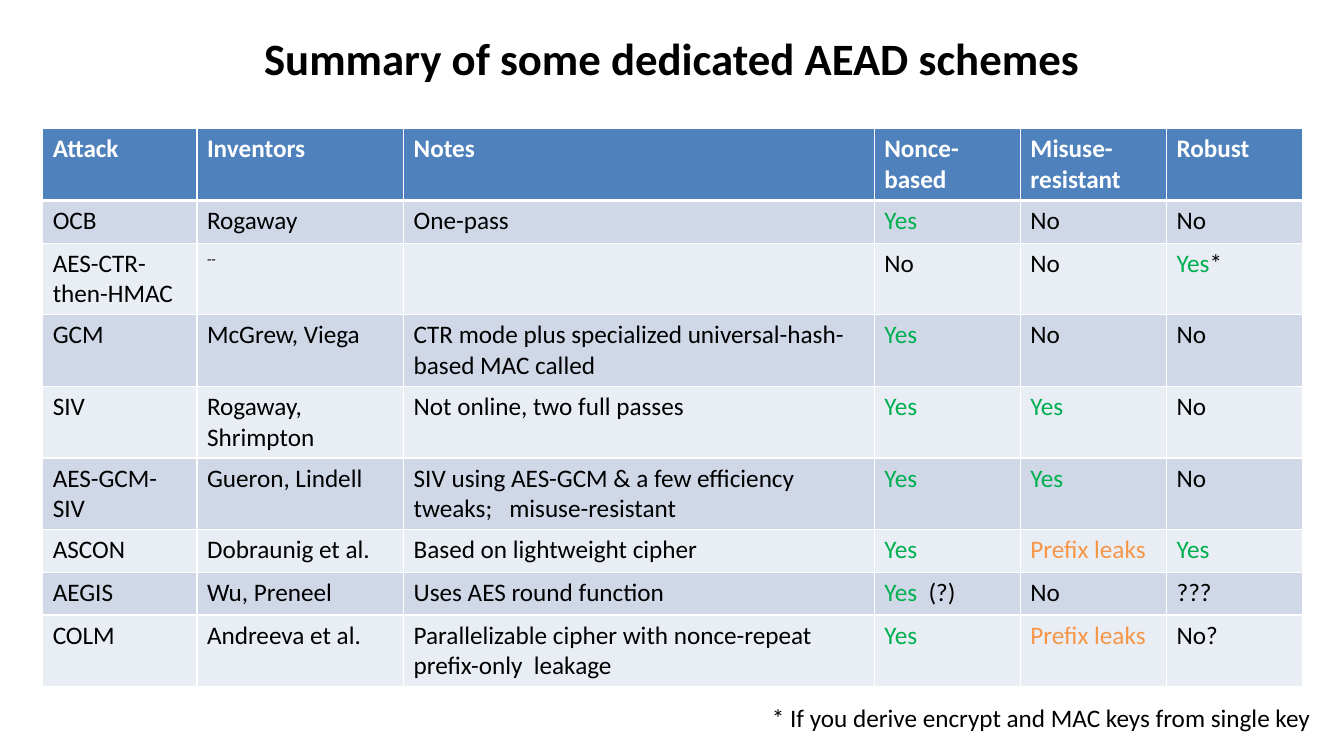
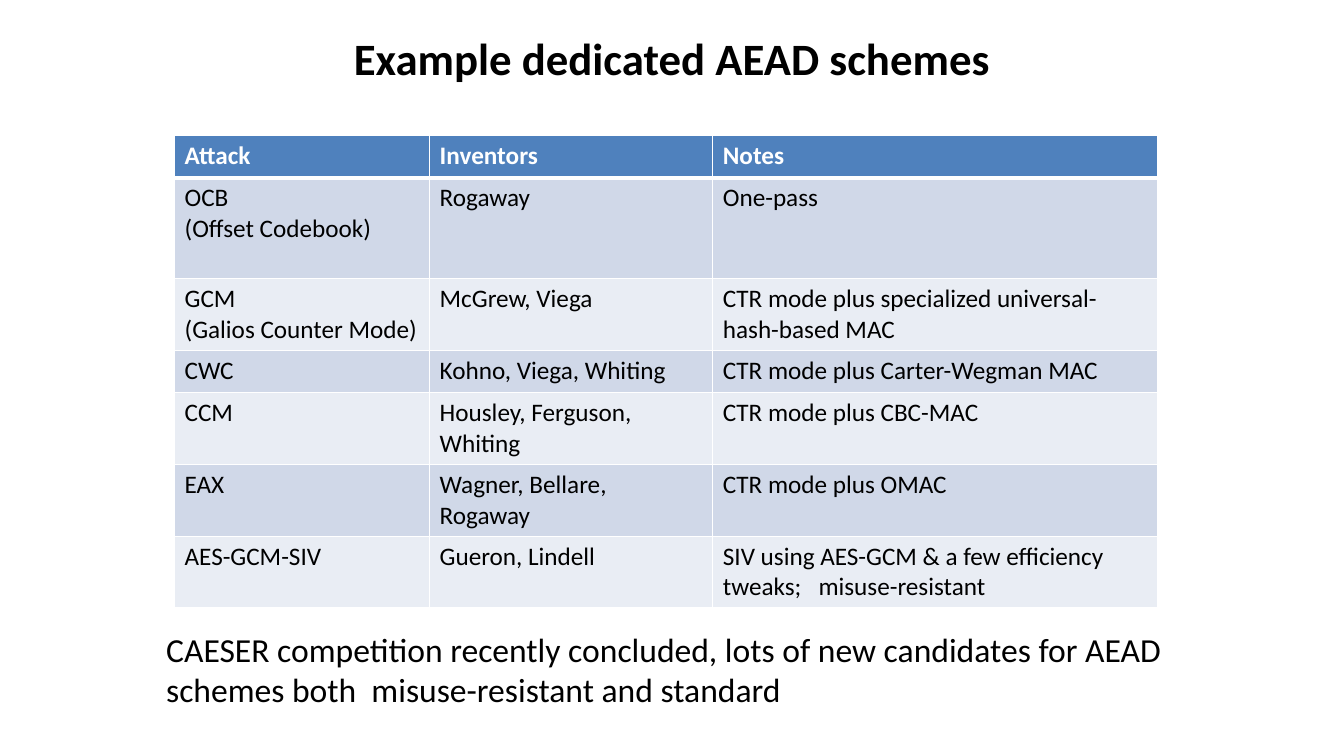
from dataclasses import dataclass

from lxml.etree import SubElement
from pptx import Presentation
from pptx.dml.color import RGBColor
from pptx.enum.text import MSO_ANCHOR, PP_ALIGN
from pptx.oxml.ns import qn
from pptx.slide import Slide
from pptx.table import _Cell
from pptx.text.text import _Paragraph
from pptx.util import Pt

PAGE_WIDTH, PAGE_HEIGHT = 960, 540
FONT = "Calibri"
COLORS = {
    "text": "000000",
    "white": "FFFFFF",
    "header": "4F81BD",
    "odd_band": "D0D8E8",
    "even_band": "E9EDF4",
    "Yes": "00B050",
    "Prefix leaks": "F79646",
}
TITLE_FORMAT = {"name": FONT, "size": Pt(32), "bold": True}
HEADER_FORMAT = {"name": FONT, "size": Pt(18), "bold": True}
BODY_FORMAT = {"name": FONT, "size": Pt(18), "bold": False}
REMARK_FORMAT = {"name": FONT, "size": Pt(24), "bold": False}
ONE_LINE, TWO_LINES, TALL = 30.5, 50.5, 72
THIN, THICK = 1, 3


@dataclass
class SchemeTable:
    left: float
    top: float
    column_widths: list[float]
    row_heights: list[float]
    rows: list[list[str]]


@dataclass
class Remark:
    text: str
    left: float
    top: float
    width: float
    height: float
    format: dict


@dataclass
class SchemePage:
    title: str
    table: SchemeTable
    remark: Remark


PAGES = [
    SchemePage(
        "Summary of some dedicated AEAD schemes",
        SchemeTable(
            30.5, 92,
            [110.2, 147.6, 336.2, 104.4, 104.4, 97.2],
            [TWO_LINES, ONE_LINE, TWO_LINES, TWO_LINES, TWO_LINES,
             TWO_LINES, ONE_LINE, ONE_LINE, TWO_LINES],
            [
                ["Attack", "Inventors", "Notes", "Nonce-based", "Misuse-resistant", "Robust"],
                ["OCB", "Rogaway", "One-pass", "Yes", "No", "No"],
                ["AES-CTR-then-HMAC", "--", "", "No", "No", "Yes*"],
                ["GCM", "McGrew, Viega",
                 "CTR mode plus specialized universal-hash-based MAC called", "Yes", "No", "No"],
                ["SIV", "Rogaway, Shrimpton", "Not online, two full passes", "Yes", "Yes", "No"],
                ["AES-GCM-SIV", "Gueron, Lindell",
                 "SIV using AES-GCM & a few efficiency tweaks;   misuse-resistant",
                 "Yes", "Yes", "No"],
                ["ASCON", "Dobraunig et al.", "Based on lightweight cipher",
                 "Yes", "Prefix leaks", "Yes"],
                ["AEGIS", "Wu, Preneel", "Uses AES round function", "Yes  (?)", "No", "???"],
                ["COLM", "Andreeva et al.",
                 "Parallelizable cipher with nonce-repeat prefix-only  leakage",
                 "Yes", "Prefix leaks", "No?"],
            ],
        ),
        Remark("* If you derive encrypt and MAC keys from single key",
               544.3, 498.2, 412, 29, BODY_FORMAT),
    ),
    SchemePage(
        "Example dedicated AEAD schemes",
        SchemeTable(
            124.7, 96.5,
            [182.2, 202.3, 317.5],
            [ONE_LINE, TALL, TWO_LINES, ONE_LINE, TWO_LINES, ONE_LINE, TWO_LINES],
            [
                ["Attack", "Inventors", "Notes"],
                ["OCB\n(Offset Codebook)", "Rogaway", "One-pass"],
                ["GCM\n(Galios Counter Mode)", "McGrew, Viega",
                 "CTR mode plus specialized universal-hash-based MAC"],
                ["CWC", "Kohno, Viega, Whiting", "CTR mode plus Carter-Wegman MAC"],
                ["CCM", "Housley, Ferguson, Whiting", "CTR mode plus CBC-MAC"],
                ["EAX", "Wagner, Bellare, Rogaway", "CTR mode plus OMAC"],
                ["AES-GCM-SIV", "Gueron, Lindell",
                 "SIV using AES-GCM & a few efficiency tweaks;   misuse-resistant"],
            ],
        ),
        Remark("CAESER competition recently concluded, lots of new candidates for AEAD "
               "schemes both  misuse-resistant and standard",
               111.6, 445.7, 728.6, 65.5, REMARK_FORMAT),
    ),
]


def add_span(para: _Paragraph, text: str, font_format: dict, color: str) -> None:
    span = para.add_run()
    span.text = text
    for name, value in font_format.items():
        setattr(span.font, name, value)
    span.font.color.rgb = RGBColor.from_string(COLORS[color])
    if text == "--":
        span._r.get_or_add_rPr().set("baseline", "30000")


def add_verdict(para: _Paragraph, text: str) -> None:
    """Write body text, giving a leading verdict its own colour."""
    verdict = next((word for word in ("Yes", "Prefix leaks") if text.startswith(word)), "")
    rest = text.removeprefix(verdict)
    if verdict:
        add_span(para, verdict, BODY_FORMAT, verdict)
    if rest:
        add_span(para, rest, BODY_FORMAT, "text")


def set_borders(cell: _Cell, row_index: int) -> None:
    """Rule the cell in white, with a thick line between header and body."""
    top = THICK if row_index == 1 else THIN
    bottom = THICK if row_index == 0 else THIN
    properties = cell._tc.get_or_add_tcPr()
    for side, width in {"L": THIN, "R": THIN, "T": top, "B": bottom}.items():
        line = SubElement(properties, qn(f"a:ln{side}"), w=str(Pt(width)))
        fill = SubElement(line, qn("a:solidFill"))
        SubElement(fill, qn("a:srgbClr"), val=COLORS["white"])


def fill_cell(cell: _Cell, text: str, row_index: int) -> None:
    set_borders(cell, row_index)
    band = "header" if row_index == 0 else "odd_band" if row_index % 2 else "even_band"
    cell.fill.solid()
    cell.fill.fore_color.rgb = RGBColor.from_string(COLORS[band])
    frame = cell.text_frame
    for index, line in enumerate(text.split("\n")):
        para = frame.add_paragraph() if index else frame.paragraphs[0]
        if row_index == 0:
            add_span(para, line, HEADER_FORMAT, "white")
        else:
            add_verdict(para, line)


def add_scheme_table(page: Slide, content: SchemeTable) -> None:
    table = page.shapes.add_table(
        len(content.rows), len(content.column_widths),
        Pt(content.left), Pt(content.top),
        Pt(sum(content.column_widths)), Pt(sum(content.row_heights)),
    ).table
    table.horz_banding = False
    for column, width in zip(table.columns, content.column_widths):
        column.width = Pt(width)
    for row, height in zip(table.rows, content.row_heights):
        row.height = Pt(height)
    for row_index, texts in enumerate(content.rows):
        for column_index, text in enumerate(texts):
            fill_cell(table.cell(row_index, column_index), text, row_index)


def set_title(page: Slide, text: str) -> None:
    title = page.shapes.title
    place = {"left": Pt(0), "top": Pt(18), "width": Pt(PAGE_WIDTH), "height": Pt(46)}
    for name, value in place.items():
        setattr(title, name, value)
    title.text_frame.vertical_anchor = MSO_ANCHOR.MIDDLE
    para = title.text_frame.paragraphs[0]
    para.alignment = PP_ALIGN.CENTER
    add_span(para, text, TITLE_FORMAT, "text")


def add_remark(page: Slide, remark: Remark) -> None:
    box = page.shapes.add_textbox(
        Pt(remark.left), Pt(remark.top), Pt(remark.width), Pt(remark.height))
    box.text_frame.word_wrap = True
    add_span(box.text_frame.paragraphs[0], remark.text, remark.format, "text")


def main() -> None:
    deck = Presentation()
    deck.slide_width, deck.slide_height = Pt(PAGE_WIDTH), Pt(PAGE_HEIGHT)
    title_only = deck.slide_layouts.get_by_name("Title Only")
    for content in PAGES:
        page = deck.slides.add_slide(title_only)
        set_title(page, content.title)
        add_scheme_table(page, content.table)
        add_remark(page, content.remark)
    deck.save("out.pptx")


if __name__ == "__main__":
    main()
